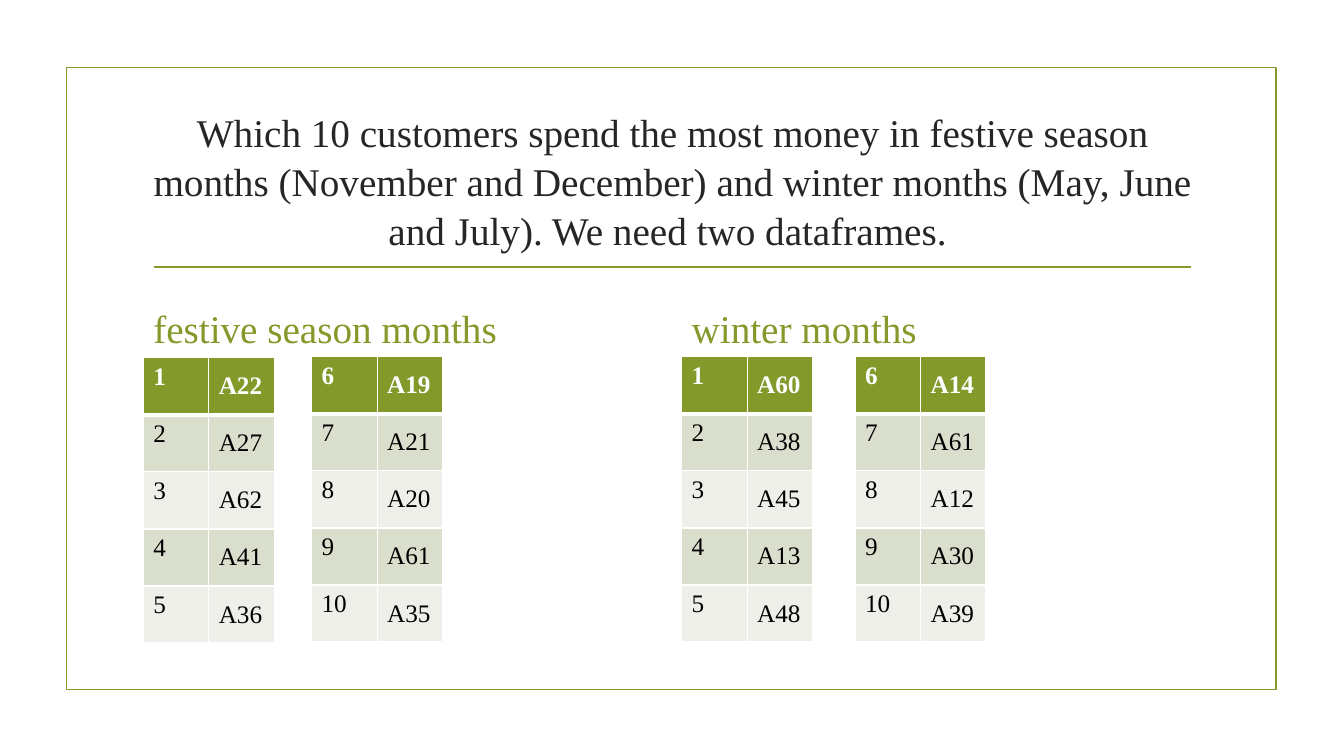
from pptx import Presentation
from pptx.dml.color import RGBColor
from pptx.enum.shapes import MSO_CONNECTOR as Link, MSO_SHAPE as Shape
from pptx.enum.text import MSO_ANCHOR as Anchor, MSO_AUTO_SIZE as Fit, PP_ALIGN as Align
from pptx.oxml.ns import qn
from pptx.util import Inches, Pt
from lxml.etree import SubElement as Sub

FONT = "Times New Roman"
GREEN = RGBColor(0x83, 0x99, 0x2A)
DARK = RGBColor(0x26, 0x26, 0x26)
BLACK = RGBColor(0x00, 0x00, 0x00)
WHITE = RGBColor(0xFF, 0xFF, 0xFF)
BANDS = [RGBColor(0xED, 0xEF, 0xE8), RGBColor(0xD9, 0xDE, 0xCD)]

TITLE = (
    "Which 10 customers spend the most money in festive season months "
    "(November and December) and winter months (May, June and July). "
    "We need two dataframes. "
)
GROUPS = [
    ("festive season months", 1, 1.42, [
        (1.42, 3.55, 1, ["A22", "A27", "A62", "A41", "A36"]),
        (3.09, 3.54, 6, ["A19", "A21", "A20", "A61", "A35"]),
    ]),
    ("winter months", 3, 6.76, [
        (6.76, 3.54, 1, ["A60", "A38", "A45", "A13", "A48"]),
        (8.48, 3.54, 6, ["A14", "A61", "A12", "A30", "A39"]),
    ]),
]


def box(*sides):
    return [Inches(side) for side in sides]


def add_run(para, text, size, color, bold=False):
    run = para.add_run()
    run.text = text
    run.font.name = FONT
    run.font.size = Pt(size)
    run.font.bold = bold
    run.font.color.rgb = color


def fill_holder(holder, place, text, color, anchor, align):
    holder.left, holder.top, holder.width, holder.height = box(*place)
    frame = holder.text_frame
    frame.word_wrap = True
    frame.auto_size = Fit.NONE
    frame.vertical_anchor = anchor
    para = frame.paragraphs[0]
    para.alignment = align
    add_run(para, text, 28, color)
    return para


def add_frame(slide):
    frame = slide.shapes.add_shape(Shape.RECTANGLE, *box(0.66, 0.67, 12, 6.17))
    frame.shadow.inherit = False
    frame.fill.background()
    frame.line.color.rgb = GREEN
    frame.line.width = Pt(1.25)
    return frame


def add_rule(slide):
    rule = slide.shapes.add_connector(Link.STRAIGHT, *box(1.53, 2.65, 11.81, 2.65))
    rule.line.color.rgb = GREEN
    rule.line.width = Pt(1.25)
    Sub(rule._element.spPr, qn("a:effectLst"))
    return rule


def add_edge(cell, side, width):
    props = cell._tc.get_or_add_tcPr()
    edge = Sub(props, qn("a:ln" + side), w=str(Pt(width)))
    Sub(Sub(edge, qn("a:solidFill")), qn("a:srgbClr"), val=str(WHITE))


def style_cell(cell, text, row, col):
    head = row == 0
    thick = {"T": row == 1, "B": head}
    for side in "LRTB":
        add_edge(cell, side, 3 if thick.get(side) else 1)
    cell.fill.solid()
    cell.fill.fore_color.rgb = GREEN if head else BANDS[row % 2]
    cell.vertical_anchor = Anchor.MIDDLE if col else Anchor.TOP
    add_run(cell.text_frame.paragraphs[0], text, 18, WHITE if head else BLACK, head)


def add_ranks(slide, left, top, first, codes):
    place = box(left, top, 1.3, 2.83)
    table = slide.shapes.add_table(len(codes), 2, *place).table
    for row, code in enumerate(codes):
        for col, text in enumerate([str(first + row), code]):
            style_cell(table.cell(row, col), text, row, col)


def main():
    deck = Presentation()
    deck.slide_width, deck.slide_height = box(13.33, 7.5)
    slide = deck.slides.add_slide(deck.slide_layouts[4])
    holders = {item.placeholder_format.idx: item for item in slide.placeholders}
    for spare in (2, 4):
        holders[spare]._element.getparent().remove(holders[spare]._element)

    title = slide.shapes.title
    for back in (add_frame(slide), add_rule(slide)):
        title._element.addprevious(back._element)
    para = fill_holder(title, (1.42, 1.07, 10.5, 1.43), TITLE, DARK,
                       Anchor.MIDDLE, Align.CENTER)
    para.line_spacing = 1.04

    for name, key, left, tables in GROUPS:
        para = fill_holder(holders[key], (left, 2.91, 5.16, 0.63), name, GREEN,
                           Anchor.BOTTOM, Align.LEFT)
        para.space_before = Pt(6.7)
        para.space_after = Pt(6)
        for ranks in tables:
            add_ranks(slide, *ranks)

    deck.save("out.pptx")


if __name__ == "__main__":
    main()
